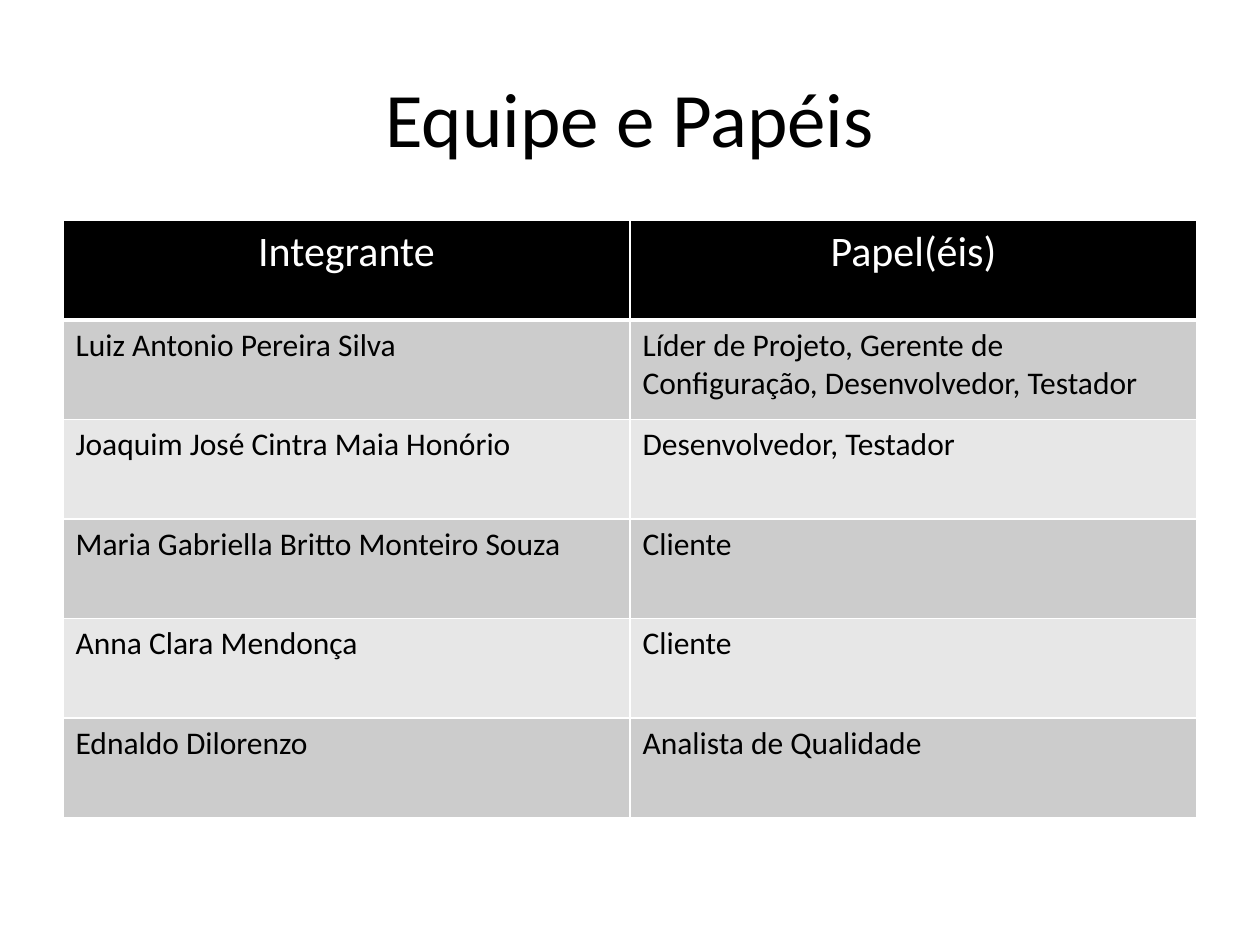
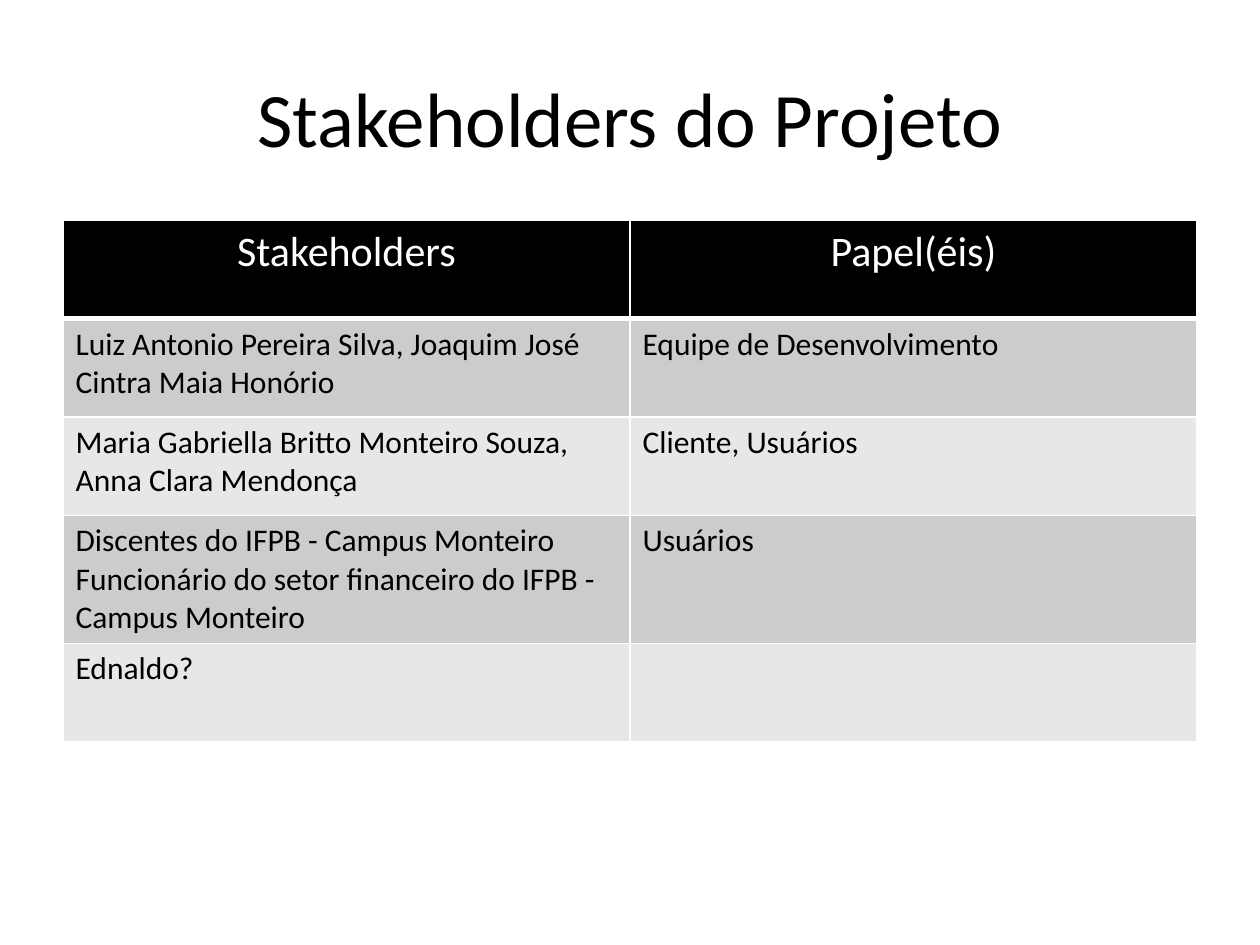
from lxml import etree
from pptx import Presentation
from pptx import util as u
from pptx.dml.color import RGBColor
from pptx.enum import text
from pptx.oxml import ns

BLACK = RGBColor(0, 0, 0)
WHITE = RGBColor(255, 255, 255)
DARK = RGBColor(0xCC, 0xCC, 0xCC)
LIGHT = RGBColor(0xE7, 0xE7, 0xE7)
FACE = "Calibri"
HEAD = {"name": FACE, "size": u.Pt(44), "bold": False}
TOP = {"name": FACE, "size": u.Pt(24), "bold": False}
BODY = {"name": FACE, "size": u.Pt(18), "bold": False}
THIN, THICK = 0.96, 3
CENTER, LEFT = text.PP_ALIGN.CENTER, text.PP_ALIGN.LEFT


def style(par, form, color, align):
    par.alignment = align
    for key, val in form.items():
        setattr(par.font, key, val)
    par.font.color.rgb = color


def edge(cell, widths):
    props = cell._tc.get_or_add_tcPr()
    for spot, (side, width) in enumerate(widths.items()):
        line = etree.Element(ns.qn("a:ln" + side), w=str(u.Pt(width)))
        fill = etree.SubElement(line, ns.qn("a:solidFill"))
        etree.SubElement(fill, ns.qn("a:srgbClr"), val=str(WHITE))
        props.insert(spot, line)


def title(slide, words, box):
    shape = slide.shapes.title
    for key, val in zip(("left", "top", "width", "height"), box):
        setattr(shape, key, u.Inches(val))
    frame = shape.text_frame
    frame.text = words
    frame.word_wrap = True
    frame.vertical_anchor = text.MSO_ANCHOR.MIDDLE
    style(frame.paragraphs[0], HEAD, BLACK, CENTER)


def grid(slide, data, highs, box):
    left, top, width = box
    cols = len(data[0])
    frame = slide.shapes.add_table(
        len(data), cols, u.Inches(left), u.Inches(top),
        u.Inches(width), u.Inches(sum(highs)))
    table = frame.table
    for col in table.columns:
        col.width = u.Inches(width / cols)
    for row, high in enumerate(highs):
        table.rows[row].height = u.Inches(high)
        first = row == 0
        shade = BLACK if first else (LIGHT, DARK)[row % 2]
        form, color, align = (TOP, WHITE, CENTER) if first else (BODY, BLACK, LEFT)
        for col, words in enumerate(data[row]):
            cell = table.cell(row, col)
            cell.text = words
            cell.fill.solid()
            cell.fill.fore_color.rgb = shade
            style(cell.text_frame.paragraphs[0], form, color, align)
            edge(cell, {"L": THIN, "R": THIN,
                        "T": THICK if row == 1 else THIN,
                        "B": THICK if first else THIN})


def page(deck, words, data, highs):
    slide = deck.slides.add_slide(deck.slide_layouts[5])
    title(slide, words, (0.5, 0.3, 9, 1.25))
    grid(slide, data, highs, (0.5, 1.75, 9))


TEAM = [
    ("Integrante", "Papel(éis)"),
    ("Luiz Antonio Pereira Silva",
     "Líder de Projeto, Gerente de Configuração, Desenvolvedor, Testador"),
    ("Joaquim José Cintra Maia Honório", "Desenvolvedor, Testador"),
    ("Maria Gabriella Britto Monteiro Souza", "Cliente"),
    ("Anna Clara Mendonça", "Cliente"),
    ("Ednaldo Dilorenzo", "Analista de Qualidade"),
]
HOLDERS = [
    ("Stakeholders", "Papel(éis)"),
    ("Luiz Antonio Pereira Silva, Joaquim José Cintra Maia Honório",
     "Equipe de Desenvolvimento"),
    ("Maria Gabriella Britto Monteiro Souza, Anna Clara Mendonça",
     "Cliente, Usuários"),
    ("Discentes do IFPB - Campus Monteiro Funcionário do setor financeiro "
     "do IFPB - Campus Monteiro", "Usuários"),
    ("Ednaldo?", ""),
]

deck = Presentation()
deck.slide_width, deck.slide_height = u.Inches(10), u.Inches(7.5)
page(deck, "Equipe e Papéis", TEAM, [0.79] * len(TEAM))
page(deck, "Stakeholders do Projeto", HOLDERS, [0.78, 0.78, 0.78, 0.86, 0.78])
deck.save("out.pptx")
